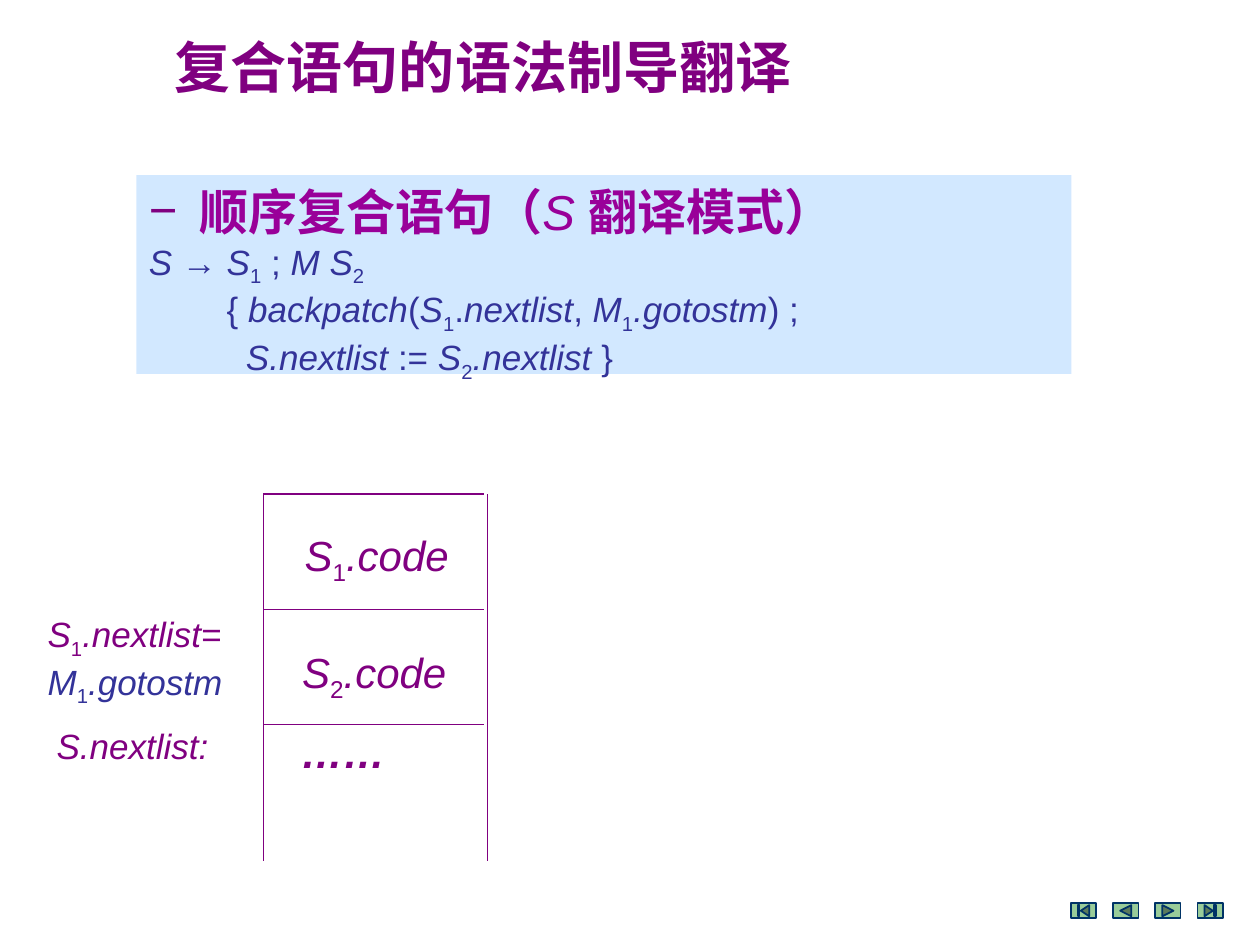
from lxml import etree
from pptx import Presentation
from pptx.dml.color import RGBColor
from pptx.enum.shapes import MSO_CONNECTOR, MSO_SHAPE
from pptx.enum.text import MSO_ANCHOR
from pptx.oxml.ns import qn
from pptx.util import Cm, Pt

STRAIGHT = MSO_CONNECTOR.STRAIGHT
RECTANGLE = MSO_SHAPE.RECTANGLE
TOP, MIDDLE = MSO_ANCHOR.TOP, MSO_ANCHOR.MIDDLE
NAVIGATION = (
    MSO_SHAPE.ACTION_BUTTON_BEGINNING,
    MSO_SHAPE.ACTION_BUTTON_BACK_OR_PREVIOUS,
    MSO_SHAPE.ACTION_BUTTON_FORWARD_OR_NEXT,
    MSO_SHAPE.ACTION_BUTTON_END,
)

THEME = {
    "latin": "Arial",
    "chinese": "Noto Sans CJK SC",
    "purple": RGBColor(0x80, 0x00, 0x80),
    "violet": RGBColor(0x99, 0x00, 0x99),
    "indigo": RGBColor(0x33, 0x33, 0x99),
    "panel": RGBColor(0xAD, 0xD6, 0xFF),
    "button": RGBColor(0x99, 0xCC, 0x99),
    "button_edge": RGBColor(0x00, 0x33, 0x66),
    "title": Pt(32),
    "heading": Pt(28),
    "code": Pt(24),
    "rule": Pt(20),
}


def write(paragraph, pieces, size, color, latin="latin"):
    for text, style in pieces:
        run = paragraph.add_run()
        run.text = text
        run.font.size = THEME[size]
        run.font.color.rgb = THEME[color]
        run.font.name = THEME[latin]
        run.font.bold = "b" in style
        run.font.italic = "i" in style
        properties = run._r.get_or_add_rPr()
        etree.SubElement(properties, qn("a:ea"), typeface=THEME["chinese"])
        if "_" in style:
            properties.set("baseline", "-25000")


def add_label(left, top, width, height, lines, size):
    frame = slide.shapes.add_textbox(Cm(left), Cm(top), Cm(width), Cm(height)).text_frame
    frame.word_wrap = False
    for index, (pieces, color) in enumerate(lines):
        paragraph = frame.add_paragraph() if index else frame.paragraphs[0]
        write(paragraph, pieces, size, color)


presentation = Presentation()
presentation.slide_width, presentation.slide_height = Cm(25.4), Cm(19.05)
slide = presentation.slides.add_slide(presentation.slide_layouts[6])

title = slide.shapes.add_textbox(Cm(3.02), Cm(0.53), Cm(17.48), Cm(1.6)).text_frame
title.word_wrap = True
title.vertical_anchor = MIDDLE
write(title.paragraphs[0], [(" 复合语句的语法制导翻译", "b")], "title", "purple", "chinese")

panel = slide.shapes.add_shape(RECTANGLE, Cm(2.75), Cm(3.53), Cm(18.85), Cm(4.01))
panel.shadow.inherit = False
panel.fill.solid()
panel.fill.fore_color.rgb = THEME["panel"]
panel_color = panel.fill._xPr.find(qn("a:solidFill"))[0]
etree.SubElement(panel_color, qn("a:alpha"), val="54000")
panel.line.fill.background()
panel.text_frame.word_wrap = True
panel.text_frame.vertical_anchor = TOP

heading = [("顺序复合语句（", "b"), ("S ", "i"), ("翻译模式）", "b")]
production = [("S ", "i"), ("→ ", ""), ("S", "i"), ("1", "_"), (" ; ", ""), ("M S", "i"), ("2", "_")]
backpatch = [
    ("{ ", ""), ("backpatch", "i"), ("(", ""), ("S", "i"), ("1", "_"), (".", ""),
    ("nextlist", "i"), (", ", ""), ("M", "i"), ("1", "_"), (".gotostm", "i"), (") ;", ""),
]
assignment = [
    ("S.nextlist ", "i"), (":=", ""), (" S", "i"), ("2", "_"), (".nextlist", "i"), (" }", ""),
]
translation = [
    (heading, "heading", "violet", 1.03, -1.03),
    (production, "rule", "indigo", 0, 0),
    (backpatch, "rule", "indigo", 1.57, 0),
    (assignment, "rule", "indigo", 1.96, 0),
]
for index, (pieces, size, color, margin, indent) in enumerate(translation):
    frame = panel.text_frame
    paragraph = frame.add_paragraph() if index else frame.paragraphs[0]
    layout = paragraph._p.get_or_add_pPr()
    layout.set("algn", "l")
    layout.set("marL", str(Cm(margin)))
    layout.set("indent", str(Cm(indent)))
    if indent:
        bullet_color = etree.SubElement(layout, qn("a:buClr"))
        etree.SubElement(bullet_color, qn("a:srgbClr"), val=str(THEME["purple"]))
        etree.SubElement(layout, qn("a:buFont"), typeface=THEME["latin"])
        etree.SubElement(layout, qn("a:buChar"), char="−")
    write(paragraph, pieces, size, color)

for index, action in enumerate(NAVIGATION):
    button = slide.shapes.add_shape(action, Cm(21.59 + index * 0.85), Cm(18.21), Cm(0.51), Cm(0.3))
    button.shadow.inherit = False
    button.fill.solid()
    button.fill.fore_color.rgb = THEME["button"]
    button.line.color.rgb = THEME["button_edge"]
    button.line.width = Pt(1)

left, right, top, bottom = 5.31, 9.83, 9.96, 17.35
sides = [(x, top, x, bottom) for x in (left, right)]
dividers = [(left, top + row * 2.32, 9.75, top + row * 2.32) for row in range(3)]
for ends in sides + dividers:
    border = slide.shapes.add_connector(STRAIGHT, *(Cm(end) for end in ends))
    border.line.color.rgb = THEME["purple"]
    border.line.width = Pt(0.75)
    etree.SubElement(border._element.spPr, qn("a:effectLst"))

for number, x, y in (("1", 5.89, 10.54), ("2", 5.84, 12.9)):
    add_label(x, y, 3.45, 1.27, [([("S", "i"), (number, "_"), (".code", "i")], "purple")], "code")
add_label(5.82, 14.53, 2.21, 1.27, [([("……", "bi")], "purple")], "code")
add_label(0.89, 14.48, 3.61, 1.12, [([("S.nextlist:", "i")], "purple")], "rule")
jump = [
    ([("S", "i"), ("1", "_"), (".nextlist=", "i")], "purple"),
    ([("M", "i"), ("1", "_"), (".gotostm", "i")], "indigo"),
]
add_label(0.71, 12.22, 4.09, 1.96, jump, "rule")

presentation.save("out.pptx")
